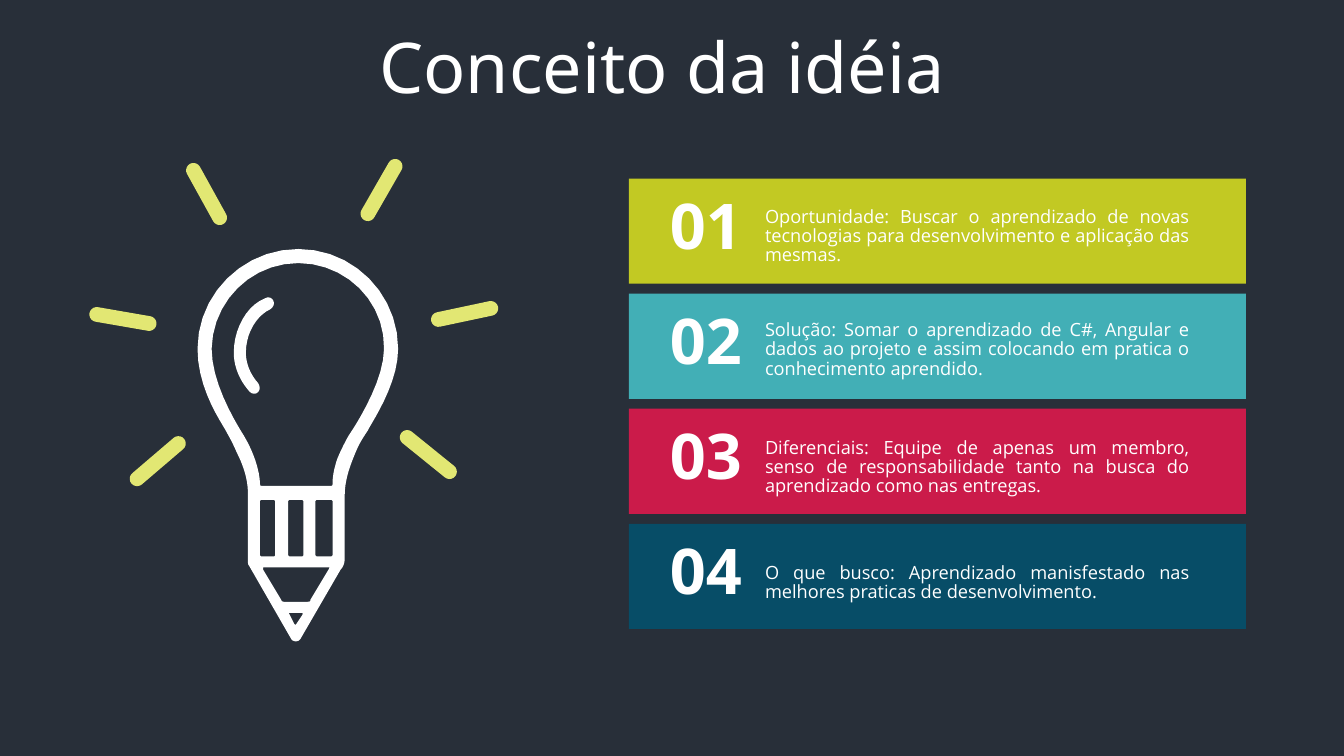
from dataclasses import dataclass
from math import atan2, cos, pi, sin

from pptx import Presentation
from pptx.dml.color import RGBColor
from pptx.enum.shapes import MSO_SHAPE
from pptx.enum.text import MSO_ANCHOR, MSO_AUTO_SIZE, PP_ALIGN
from pptx.util import Cm, Pt

RECTANGLE = MSO_SHAPE.RECTANGLE
TOP = MSO_ANCHOR.TOP
GROW = MSO_AUTO_SIZE.SHAPE_TO_FIT_TEXT
CENTER, JUSTIFY = PP_ALIGN.CENTER, PP_ALIGN.JUSTIFY

NIGHT, WHITE, GLOW = "282F39", "FFFFFF", "E2E773"
TITLE_FONT, BODY_FONT = "Noto Sans", "Open Sans"

# Drawing unit of the bulb: a hundredth of an inch
UNIT = Cm(2.54) / 100
CURVE_STEPS = 10
RAY_RADIUS = 7.3

Point = tuple[float, float]
Contour = list[Point]


@dataclass
class Concept:
    """One numbered band of the list."""
    color: str
    text: str
    text_top: float


@dataclass
class Style:
    """Look of a text."""
    font: str
    size: int
    align: PP_ALIGN
    bold: bool = False
    spacing: float = 1.0


CONCEPTS = [
    Concept("C2C923", "Oportunidade: Buscar o aprendizado de novas tecnologias para "
            "desenvolvimento e aplicação das mesmas.", 5.1),
    Concept("42AFB6", "Solução: Somar o aprendizado de C#, Angular e dados ao projeto "
            "e assim colocando em pratica o conhecimento aprendido.", 7.95),
    Concept("CB1B4A", "Diferenciais: Equipe de apenas um membro, senso de responsabilidade "
            "tanto na busca do aprendizado como nas entregas.", 10.92),
    Concept("074D67", "O que busco: Aprendizado manisfestado nas melhores praticas de "
            "desenvolvimento.", 14.07),
]
BAND_TOP, BAND_PITCH = 4.5, 2.9

TITLE_STYLE = Style(TITLE_FONT, 50, CENTER)
NUMBER_STYLE = Style(BODY_FONT, 45, CENTER, bold=True)
BODY_STYLE = Style(BODY_FONT, 13, JUSTIFY, spacing=0.89)

RAYS = [
    ((136, 475), (177, 440)), ((365, 212), (392, 165)), ((192, 169), (218, 216)),
    ((404, 434), (446, 468)), ((435, 317), (487, 306)), ((96, 312), (148, 321)),
]

# Each outline is a start point, then corners (x, y) or cubic curves (two controls, end)
HIGHLIGHT = [
    (263, 296), (245, 303, 232, 326, 232, 350), (232, 364, 238, 378, 248, 389),
    (254, 394, 261, 387, 256, 380), (248, 371, 244, 360, 244, 350),
    (244, 330, 255, 313, 268, 307), (276, 302, 270, 292, 263, 296),
]
BULB_OUTSIDE = [
    (296, 247), (241, 247, 196, 292, 196, 346), (196, 388, 222, 422, 225, 429),
    (229, 436, 232, 442, 235, 449), (242, 463, 246, 476, 246, 490), (246, 556),
    (246, 558, 246, 560, 247, 561), (289, 634), (291, 637, 296, 637, 298, 634),
    (338, 565), (341, 562, 342, 558, 342, 554), (342, 492),
    (342, 475, 348, 460, 354, 446), (357, 439, 361, 433, 365, 427),
    (368, 420, 395, 382, 395, 346), (395, 292, 351, 247, 296, 247),
]
BULB_INSIDE = [
    (346, 432), (342, 439, 337, 449, 334, 457), (332, 464, 330, 471, 330, 479),
    (330, 482, 330, 482, 327, 482), (261, 482), (258, 482, 258, 482, 258, 479),
    (257, 464, 251, 448, 243, 434), (243, 433, 210, 386, 210, 346),
    (211, 299, 249, 261, 296, 261), (343, 261, 382, 299, 381, 346),
    (381, 382, 346, 432, 346, 432),
]
PENCIL_WOOD = [
    (326, 565), (308, 595), (308, 597, 307, 597, 305, 597), (282, 597),
    (280, 597, 279, 596, 279, 595), (261, 565), (261, 563), (327, 563),
]
PENCIL_TIP = [
    (300, 610), (294, 619), (294, 620, 293, 620, 292, 619), (287, 609),
    (286, 608, 287, 608, 288, 608), (299, 608), (300, 608, 301, 608, 300, 610),
]
SLITS = [(258, 273), (286, 301), (313, 330)]
SLIT_TOP, SLIT_BOTTOM = 496, 552


def rgb(color: str) -> RGBColor:
    """Turn a hex string into a colour."""
    return RGBColor.from_string(color)


def flatten(outline: list[tuple]) -> Contour:
    """Turn an outline of corners and cubic curves into points."""
    points = [outline[0]]
    for part in outline[1:]:
        if len(part) == 2:
            points.append(part)
            continue
        knots = [points[-1], part[:2], part[2:4], part[4:]]
        for step in range(1, CURVE_STEPS + 1):
            t = step / CURVE_STEPS
            weights = ((1 - t) ** 3, 3 * t * (1 - t) ** 2, 3 * t * t * (1 - t), t ** 3)
            points.append(tuple(sum(w * knot[axis] for w, knot in zip(weights, knots))
                                for axis in (0, 1)))
    return points


def capsule(start: Point, end: Point) -> Contour:
    """Outline a bar with round ends between two points."""
    heading = atan2(end[1] - start[1], end[0] - start[0])
    points = []
    for (x, y), first in ((end, heading - pi / 2), (start, heading + pi / 2)):
        for step in range(CURVE_STEPS + 1):
            angle = first + pi * step / CURVE_STEPS
            points.append((x + RAY_RADIUS * cos(angle), y + RAY_RADIUS * sin(angle)))
    return points


def slit(left: float, right: float) -> Contour:
    """Outline a window of the pencil with softened corners."""
    top, bottom = SLIT_TOP, SLIT_BOTTOM
    return [(left + 1, top), (right - 1, top), (right, top + 1), (right, bottom - 1),
            (right - 1, bottom), (left + 1, bottom), (left, bottom - 1), (left, top + 1)]


def paint(shape, color: str) -> None:
    """Fill a shape flat, with no line or shadow."""
    shape.shadow.inherit = False
    shape.fill.solid()
    shape.fill.fore_color.rgb = rgb(color)
    shape.line.fill.background()


def draw_outline(shapes, contours: list[Contour], color: str) -> None:
    """Draw closed contours as one shape; inner contours are holes."""
    scaled = [[(x * UNIT, y * UNIT) for x, y in contour] for contour in contours]
    builder = shapes.build_freeform(*scaled[0][0], scale=1.0)
    builder.add_line_segments(scaled[0][1:], close=True)
    for hole in scaled[1:]:
        builder.move_to(*hole[0])
        builder.add_line_segments(hole[1:], close=True)
    paint(builder.convert_to_shape(), color)


def write(frame, text: str, style: Style, margin: float = 0) -> None:
    """Set and format the text of a frame."""
    frame.text = text
    frame.word_wrap = True
    frame.auto_size = GROW
    frame.vertical_anchor = TOP
    frame.margin_top = frame.margin_bottom = Cm(margin)
    paragraph = frame.paragraphs[0]
    paragraph.alignment = style.align
    paragraph.line_spacing = style.spacing
    font = paragraph.runs[0].font
    font.name, font.size, font.bold = style.font, Pt(style.size), style.bold
    font.color.rgb = rgb(WHITE)


def draw_concept(shapes, index: int, concept: Concept) -> None:
    """Draw one band with its number and text."""
    top = BAND_TOP + index * BAND_PITCH
    paint(shapes.add_shape(RECTANGLE, Cm(15.85), Cm(top), Cm(15.55), Cm(2.65)), concept.color)
    number = shapes.add_textbox(Cm(16.15), Cm(top + 0.2), Cm(3.28), Cm(2.18))
    write(number.text_frame, f"{index + 1:02}", NUMBER_STYLE)
    body = shapes.add_textbox(Cm(19.03), Cm(concept.text_top), Cm(11.18), Cm(1.93))
    write(body.text_frame, concept.text, BODY_STYLE, margin=0.13)


deck = Presentation()
deck.slide_width, deck.slide_height = Cm(33.87), Cm(19.05)
slide = deck.slides.add_slide(deck.slide_layouts[5])
slide.background.fill.solid()
slide.background.fill.fore_color.rgb = rgb(NIGHT)

title = slide.shapes.title
title.left, title.top, title.width, title.height = Cm(3.25), Cm(0.58), Cm(26.87), Cm(2.39)
write(title.text_frame, "Conceito da idéia", TITLE_STYLE)

for ray in RAYS:
    draw_outline(slide.shapes, [capsule(*ray)], GLOW)
draw_outline(slide.shapes, [flatten(HIGHLIGHT)], WHITE)
bulb = [flatten(part) for part in (BULB_OUTSIDE, BULB_INSIDE, PENCIL_WOOD, PENCIL_TIP)]
draw_outline(slide.shapes, bulb + [slit(*sides) for sides in SLITS], WHITE)

for position, entry in enumerate(CONCEPTS):
    draw_concept(slide.shapes, position, entry)

deck.save("out.pptx")
